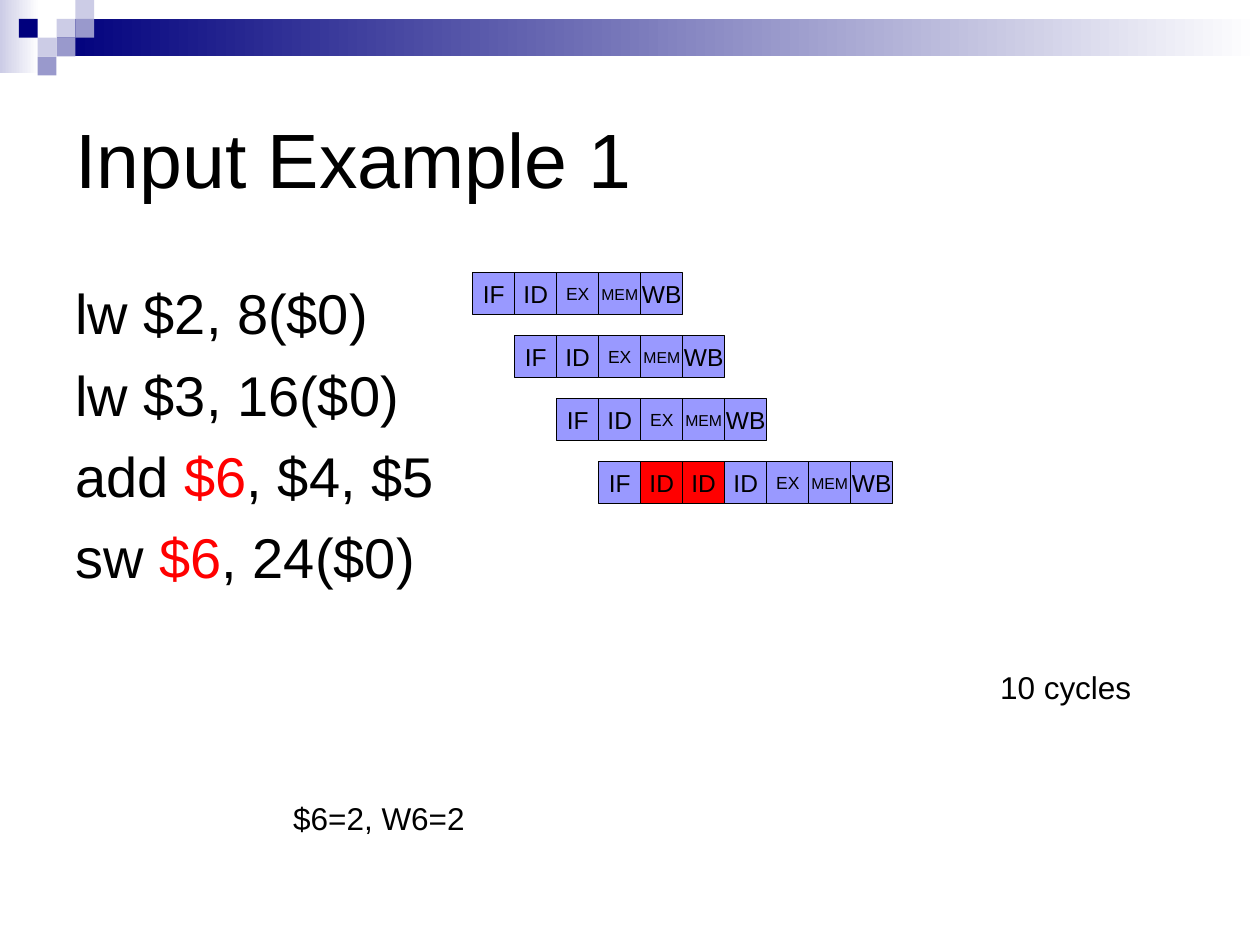
from pptx import Presentation
from pptx import util as u
from pptx.dml.color import RGBColor
from pptx.enum import shapes, text

BLACK = RGBColor(0x00, 0x00, 0x00)
WHITE = RGBColor(0xFF, 0xFF, 0xFF)
RED = RGBColor(0xFF, 0x00, 0x00)
NAVY = RGBColor(0x00, 0x00, 0x7D)
LAVENDER = RGBColor(0xCC, 0xCC, 0xE6)
MID_BLUE = RGBColor(0x99, 0x99, 0xCC)
STAGE_BLUE = RGBColor(0x99, 0x99, 0xFF)

SQUARE = 0.38
STAGE = 2.54 / 3
ROW_STEP = 1.27
PIPELINE_LEFT, PIPELINE_TOP = 9.53, 5.5
STAGE_SIZES = {"IF": 14, "ID": 14, "EX": 10, "MEM": 9, "WB": 14}

# Column, row and colour of each square in the corner mosaic
MOSAIC = [
    (3, 1, LAVENDER), (4, 0, LAVENDER), (4, 1, MID_BLUE), (2, 2, LAVENDER),
    (1, 1, NAVY), (3, 2, MID_BLUE), (2, 3, MID_BLUE),
]
INSTRUCTIONS = ["lw $2, 8($0)", "lw $3, 16($0)", "add $6, $4, $5", "sw $6, 24($0)"]
HAZARD = "$6"


class PipelineSlide:
    font = "Arial"

    def __init__(self, deck):
        self.slide = deck.slides.add_slide(deck.slide_layouts[5])

    def format(self, paragraph, size, align=text.PP_ALIGN.LEFT):
        paragraph.alignment = align
        paragraph.font.name = self.font
        paragraph.font.size = u.Pt(size)
        paragraph.font.color.rgb = BLACK

    def title(self, wording, left, top, width, height):
        title = self.slide.shapes.title
        title.left, title.top = u.Cm(left), u.Cm(top)
        title.width, title.height = u.Cm(width), u.Cm(height)
        title.text_frame.text = wording
        title.text_frame.vertical_anchor = text.MSO_ANCHOR.MIDDLE
        self.format(title.text_frame.paragraphs[0], 44)

    def rectangle(self, parent, left, top, width, height, *colours):
        """Draw a borderless rectangle; two colours make a gradient."""
        box = parent.shapes.add_shape(
            shapes.MSO_SHAPE.RECTANGLE,
            u.Cm(left), u.Cm(top), u.Cm(width), u.Cm(height))
        box.shadow.inherit = False
        box.line.fill.background()
        if len(colours) == 1:
            box.fill.solid()
            box.fill.fore_color.rgb = colours[0]
        else:
            box.fill.gradient()
            box.fill.gradient_angle = 0
            for stop, colour in zip(box.fill.gradient_stops, colours):
                stop.color.rgb = colour
        return box

    def banner(self):
        group = self.slide.shapes.add_group_shape()
        self.rectangle(group, 0, 0, 0.79, 1.47, LAVENDER, WHITE)
        self.rectangle(group, 1.14, SQUARE, 24.26, 2 * SQUARE, NAVY, WHITE)
        for column, row, colour in MOSAIC:
            self.rectangle(group, column * SQUARE, row * SQUARE, SQUARE, SQUARE, colour)

    def code(self, lines, left, top, width, height):
        frame = self.slide.shapes.add_textbox(
            u.Cm(left), u.Cm(top), u.Cm(width), u.Cm(height)).text_frame
        frame.word_wrap = True
        for number, line in enumerate(lines):
            paragraph = frame.add_paragraph() if number else frame.paragraphs[0]
            self.format(paragraph, 32)
            paragraph.space_before = u.Pt(8)
            before, hazard, after = line.partition(HAZARD)
            for part in filter(None, (before, hazard, after)):
                run = paragraph.add_run()
                run.text = part
                if part == HAZARD:
                    run.font.color.rgb = RED

    def pipeline(self, row, stages, stalls=()):
        """Draw one instruction's stages, starting one cycle later per row."""
        group = self.slide.shapes.add_group_shape()
        for cycle, stage in enumerate(stages):
            box = self.rectangle(
                group, PIPELINE_LEFT + (row + cycle) * STAGE,
                PIPELINE_TOP + row * ROW_STEP, STAGE, STAGE,
                RED if cycle in stalls else STAGE_BLUE)
            box.line.color.rgb = BLACK
            box.line.width = u.Pt(0.75)
            frame = box.text_frame
            frame.text = stage
            frame.word_wrap = False
            frame.vertical_anchor = text.MSO_ANCHOR.MIDDLE
            self.format(frame.paragraphs[0], STAGE_SIZES[stage], text.PP_ALIGN.CENTER)

    def note(self, wording, left, top, width):
        frame = self.slide.shapes.add_textbox(
            u.Cm(left), u.Cm(top), u.Cm(width), u.Cm(1.02)).text_frame
        frame.text = wording
        frame.word_wrap = False
        frame.auto_size = text.MSO_AUTO_SIZE.SHAPE_TO_FIT_TEXT
        self.format(frame.paragraphs[0], 18)


def main():
    deck = Presentation()
    deck.slide_width, deck.slide_height = u.Cm(25.4), u.Cm(19.05)
    page = PipelineSlide(deck)
    page.banner()
    page.title("Input Example 1", 1.27, 1.27, 22.86, 3.81)
    page.code(INSTRUCTIONS, 1.27, 5.5, 22.86, 10.8)
    for row in range(3):
        page.pipeline(row, ["IF", "ID", "EX", "MEM", "WB"])
    page.pipeline(3, ["IF", "ID", "ID", "ID", "EX", "MEM", "WB"], stalls=(1, 2))
    page.note("10 cycles", 19.91, 13.34, 3.15)
    page.note("$6=2, W6=2", 5.66, 15.98, 3.96)
    deck.save("out.pptx")


if __name__ == "__main__":
    main()
